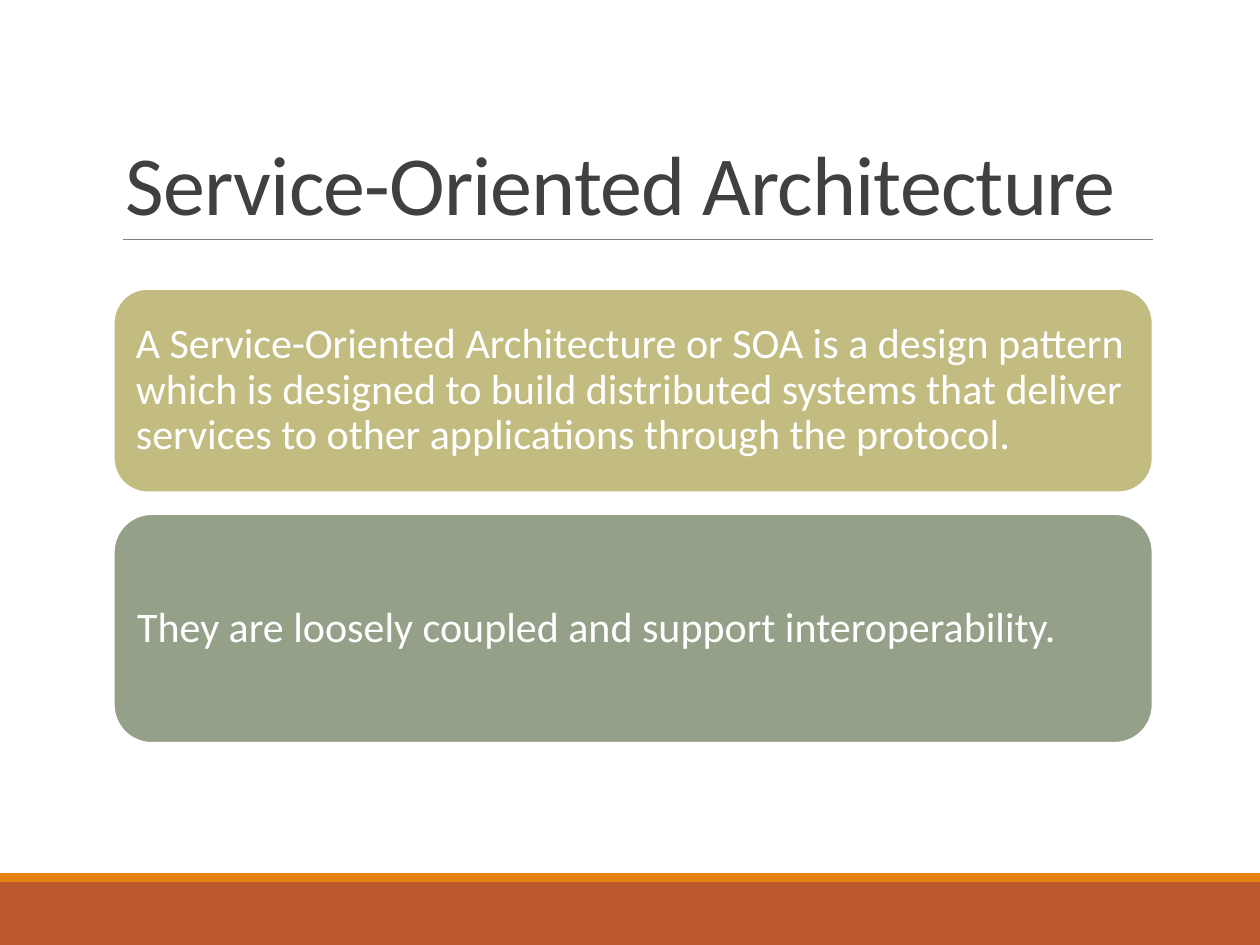
from lxml import etree
from pptx import Presentation
from pptx.dml.color import RGBColor
from pptx.enum.shapes import MSO_CONNECTOR, MSO_SHAPE
from pptx.enum.text import MSO_ANCHOR, PP_ALIGN
from pptx.oxml.ns import qn
from pptx.util import Cm, Pt

RECTANGLE = MSO_SHAPE.RECTANGLE
ROUNDED = MSO_SHAPE.ROUNDED_RECTANGLE
STRAIGHT = MSO_CONNECTOR.STRAIGHT
LEFT = PP_ALIGN.LEFT
MIDDLE = MSO_ANCHOR.MIDDLE
BOTTOM = MSO_ANCHOR.BOTTOM


def color(value):
    return RGBColor.from_string(value)


def write(shape, text, size, ink, anchor, spacing):
    frame = shape.text_frame
    frame.word_wrap = True
    frame.vertical_anchor = anchor
    para = frame.paragraphs[0]
    para.alignment = LEFT
    para.line_spacing = spacing
    span = para.add_run()
    span.text = text
    span.font.name = "Calibri"
    span.font.size = Pt(size)
    span.font.color.rgb = color(ink)
    return span


deck = Presentation()
deck.slide_width = Cm(25.4)
deck.slide_height = Cm(19.05)
page = deck.slides.add_slide(deck.slide_layouts[6])

for top, height, fill in [(17.78, 1.27, "BD582C"), (17.6, 0.18, "E48312")]:
    band = page.shapes.add_shape(RECTANGLE, 0, Cm(top), deck.slide_width, Cm(height))
    band.shadow.inherit = False
    band.fill.solid()
    band.fill.fore_color.rgb = color(fill)
    band.line.fill.background()

rule = page.shapes.add_connector(STRAIGHT, Cm(2.48), Cm(4.82), Cm(23.24), Cm(4.82))
rule.line.color.rgb = color("808080")
rule.line.width = Pt(0.5)
etree.SubElement(rule._element.spPr, qn("a:effectLst"))

title = page.shapes.add_textbox(Cm(2.29), Cm(0.79), Cm(20.95), Cm(4.03))
heading = write(title, "Service-Oriented Architecture", 48, "404040", BOTTOM, 0.85)
heading.font._element.set("spc", "-50")

cards = [
    (5.82, 4.11, "C2BC80",
     "A Service-Oriented Architecture or SOA is a design pattern which is designed "
     "to build distributed systems that deliver services to other applications "
     "through the protocol."),
    (10.36, 4.62, "94A088", "They are loosely coupled and support interoperability."),
]
for top, height, fill, text in cards:
    card = page.shapes.add_shape(ROUNDED, Cm(2.29), Cm(top), Cm(20.95), Cm(height))
    card.shadow.inherit = False
    card.fill.solid()
    card.fill.fore_color.rgb = color(fill)
    card.line.color.rgb = color("FFFFFF")
    card.line.width = Pt(1.25)
    frame = card.text_frame
    frame.margin_left = frame.margin_right = Cm(0.25)
    frame.margin_top = frame.margin_bottom = Cm(0.25)
    write(card, text, 24, "FFFFFF", MIDDLE, 0.9)

deck.save("out.pptx")
